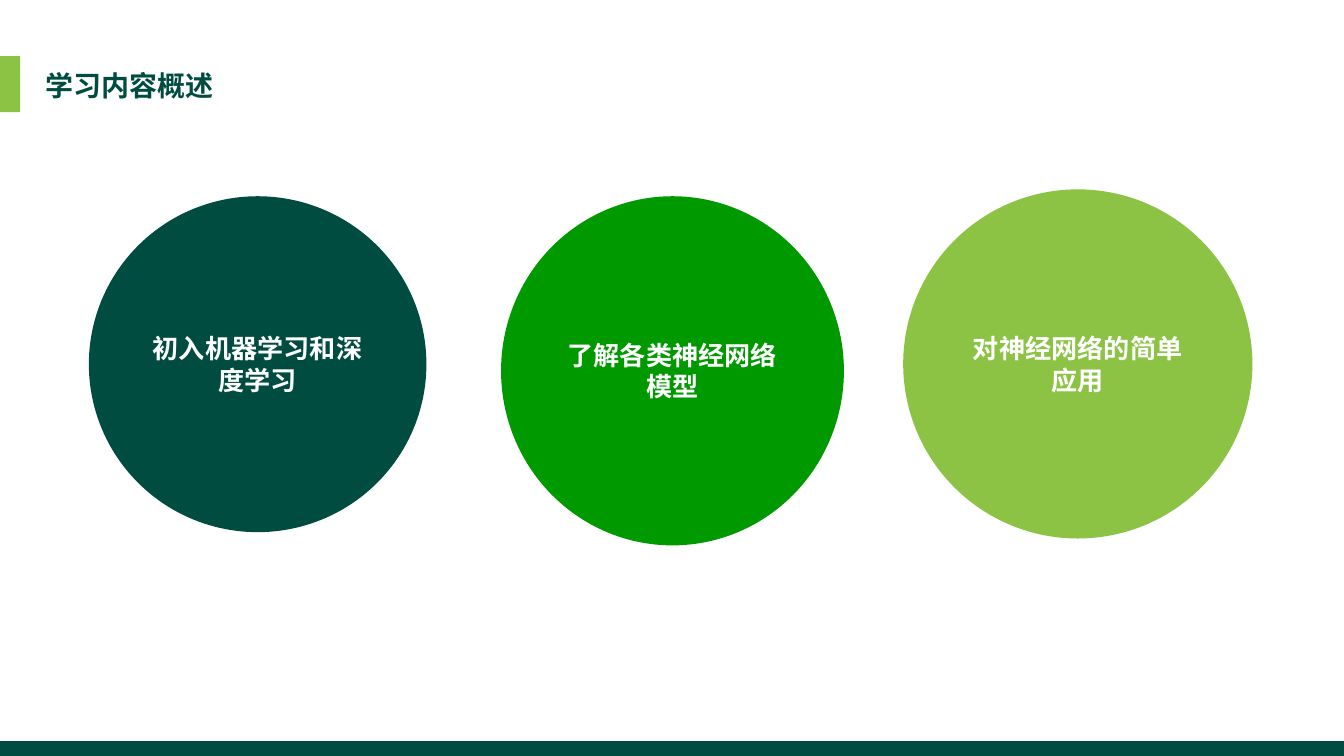
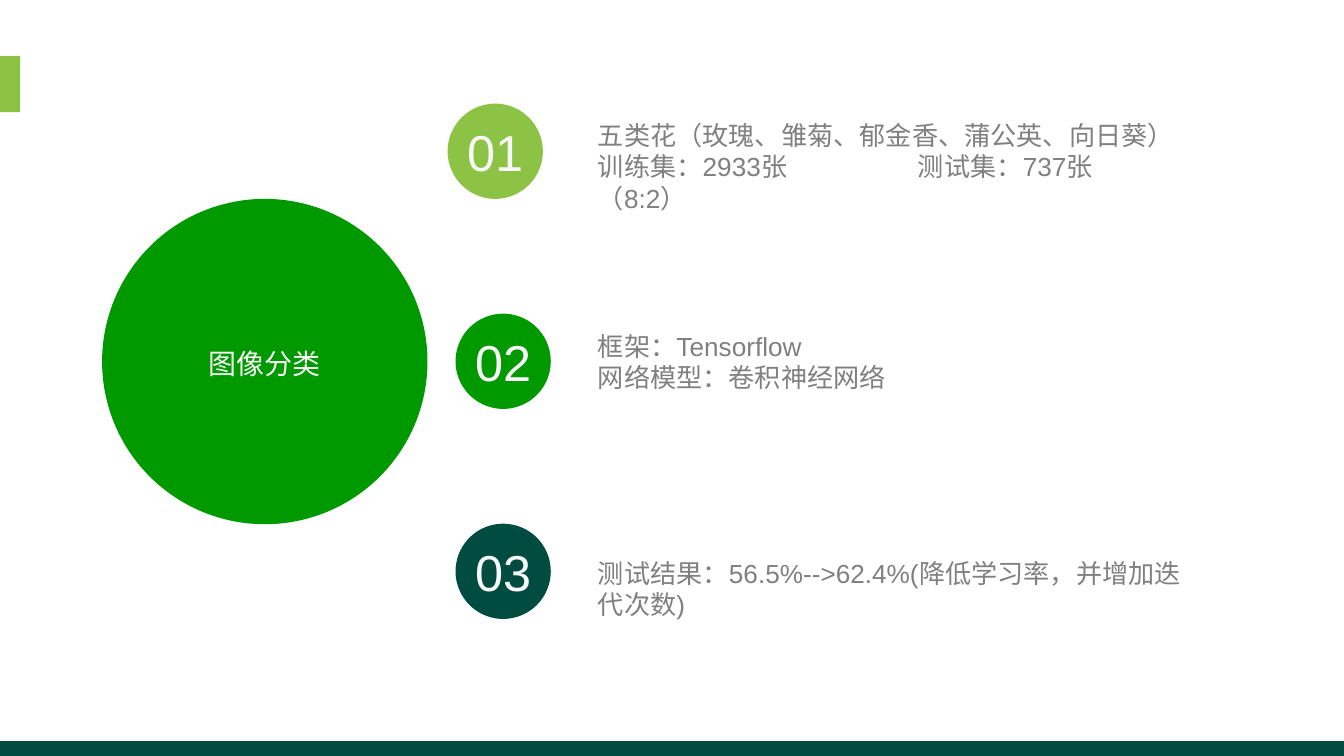
from lxml.etree import SubElement
from pptx import Presentation
from pptx.dml.color import RGBColor
from pptx.enum.shapes import MSO_SHAPE
from pptx.enum.text import MSO_ANCHOR, MSO_AUTO_SIZE, PP_ALIGN
from pptx.oxml.ns import qn
from pptx.util import Cm, Pt

FONT = "Arial"
DARK = "004C41"
GREEN = "009900"
LIME = "8CC345"
WHITE = "FFFFFF"
PALE = "F8F8F8"
GRAY = "808080"
WIDTH, HEIGHT = 25.4, 14.29
TITLE_ONLY, BLANK = 5, 6

TOPICS = [
    ("初入机器学习和深度学习", DARK, (1.68, 3.71, 6.38, 6.35)),
    ("了解各类神经网络模型", GREEN, (9.47, 3.71, 6.48, 6.6)),
    ("对神经网络的简单应用", LIME, (17.07, 3.58, 6.6, 6.6)),
]
STEPS = [
    (LIME, 8.46, 2.13, "五类花（玫瑰、雏菊、郁金香、蒲公英、向日葵）\n"
                       "训练集：2933张\t测试集：737张\v（8:2）"),
    (GREEN, 8.61, 6.12, "框架：Tensorflow\n网络模型：卷积神经网络"),
    (DARK, 8.61, 10.41, "测试结果：56.5%-->62.4%(降低学习率，并增加迭代次数)"),
]
STEP_TOP, STEP_PITCH, BADGE = 1.96, 3.97, 1.8
TAB_STOP = 6.05


def color(value):
    return RGBColor.from_string(value)


def write(frame, text, size, ink, bold=False, align=PP_ALIGN.LEFT):
    frame.text = text
    for para in frame.paragraphs:
        para.alignment = align
        for span in para.runs:
            span.font.name = FONT
            span.font.size = Pt(size)
            span.font.bold = bold
            span.font.color.rgb = color(ink)


def add_figure(shapes, kind, place, fill):
    figure = shapes.add_shape(kind, *map(Cm, place))
    figure.shadow.inherit = False
    figure.fill.solid()
    figure.fill.fore_color.rgb = color(fill)
    figure.line.fill.background()
    return figure


def add_text(shapes, place, text, size, ink, align=PP_ALIGN.LEFT, wrap=True):
    box = shapes.add_textbox(*map(Cm, place))
    frame = box.text_frame
    frame.word_wrap = wrap
    frame.auto_size = MSO_AUTO_SIZE.SHAPE_TO_FIT_TEXT
    write(frame, text, size, ink, align=align)
    return box


def add_tab_stop(para, position):
    stops = SubElement(para._p.get_or_add_pPr(), qn("a:tabLst"))
    SubElement(stops, qn("a:tab"), pos=str(Cm(position)), algn="l")


def add_page(deck, layout):
    page = deck.slides.add_slide(deck.slide_layouts[layout])
    add_figure(page.shapes, MSO_SHAPE.RECTANGLE, (0, 1.06, 0.38, 1.06), LIME)
    add_figure(page.shapes, MSO_SHAPE.RECTANGLE, (0, HEIGHT - 0.28, WIDTH, 0.28), DARK)
    return page


def set_title(page, text):
    title = page.shapes.title
    title.left, title.top, title.width, title.height = map(Cm, (0.61, 1.17, 5.59, 0.89))
    frame = title.text_frame
    frame.vertical_anchor = MSO_ANCHOR.TOP
    frame.auto_size = MSO_AUTO_SIZE.SHAPE_TO_FIT_TEXT
    write(frame, text, 15, DARK, bold=True)


def add_topic(page, text, fill, place):
    circle = add_figure(page.shapes, MSO_SHAPE.OVAL, place, fill)
    frame = circle.text_frame
    frame.word_wrap = True
    frame.vertical_anchor = MSO_ANCHOR.MIDDLE
    frame.margin_left = frame.margin_right = Cm(0.2)
    frame.margin_top = frame.margin_bottom = Cm(0.1)
    write(frame, text, 14, WHITE, bold=True, align=PP_ALIGN.CENTER)


def add_badge(page, number, left, top, fill):
    badge = page.shapes.add_group_shape().shapes
    add_figure(badge, MSO_SHAPE.OVAL, (left, top, BADGE, BADGE), fill)
    add_text(badge, (left + 0.12, top + 0.2, 1.65, 1.42), f"{number:02}", 27, PALE, wrap=False)


def build_overview(deck):
    page = add_page(deck, TITLE_ONLY)
    set_title(page, "学习内容概述")
    for text, fill, place in TOPICS:
        add_topic(page, text, fill, place)


def build_classification(deck):
    page = add_page(deck, BLANK)
    add_figure(page.shapes, MSO_SHAPE.OVAL, (1.93, 3.76, 6.15, 6.15), GREEN)
    add_text(page.shapes, (3.05, 6.43, 3.91, 0.89), "图像分类", 15, PALE, PP_ALIGN.CENTER)
    for index, (fill, left, text_top, text) in enumerate(STEPS):
        add_badge(page, index + 1, left, STEP_TOP + index * STEP_PITCH, fill)
        box = add_text(page.shapes, (11.05, text_top, 11.99, 1.45), text, 14, GRAY)
        for para in box.text_frame.paragraphs:
            if "\t" in para.text:
                add_tab_stop(para, TAB_STOP)


def main():
    deck = Presentation()
    deck.slide_width, deck.slide_height = Cm(WIDTH), Cm(HEIGHT)
    build_overview(deck)
    build_classification(deck)
    deck.save("out.pptx")


main()
